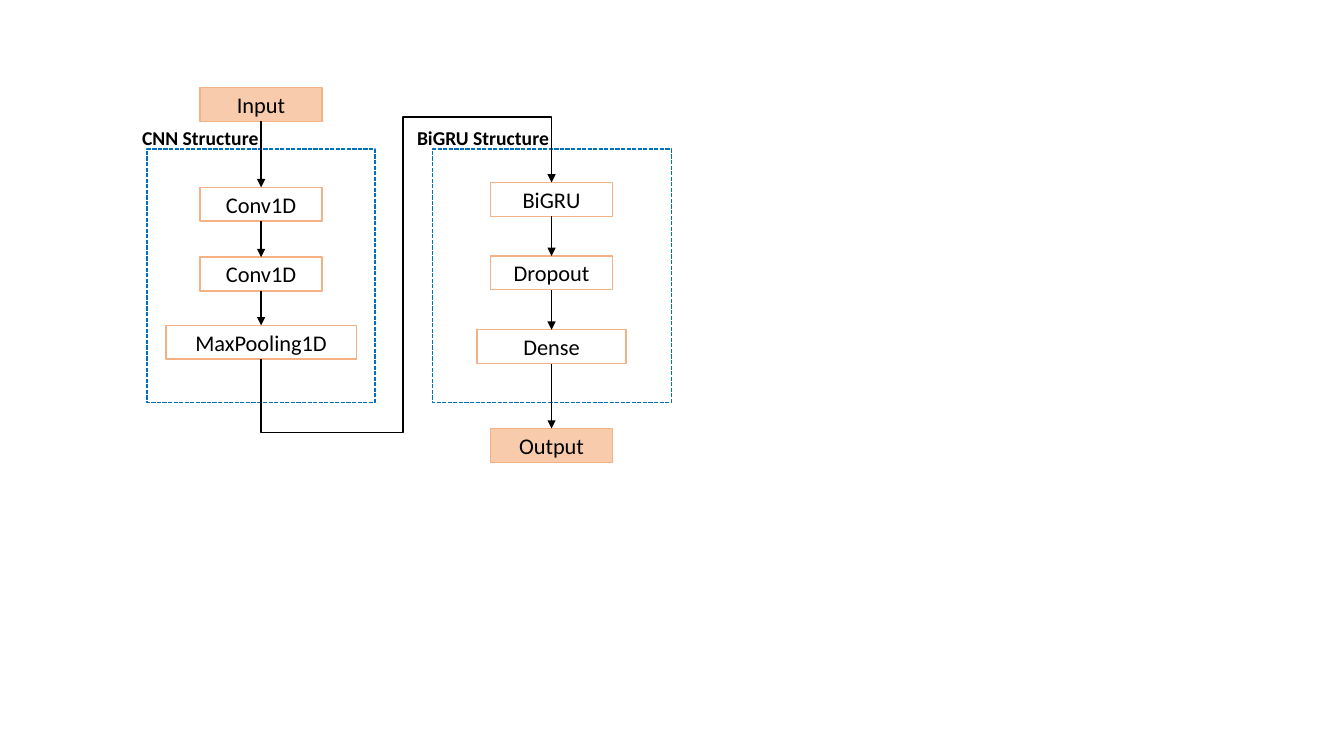
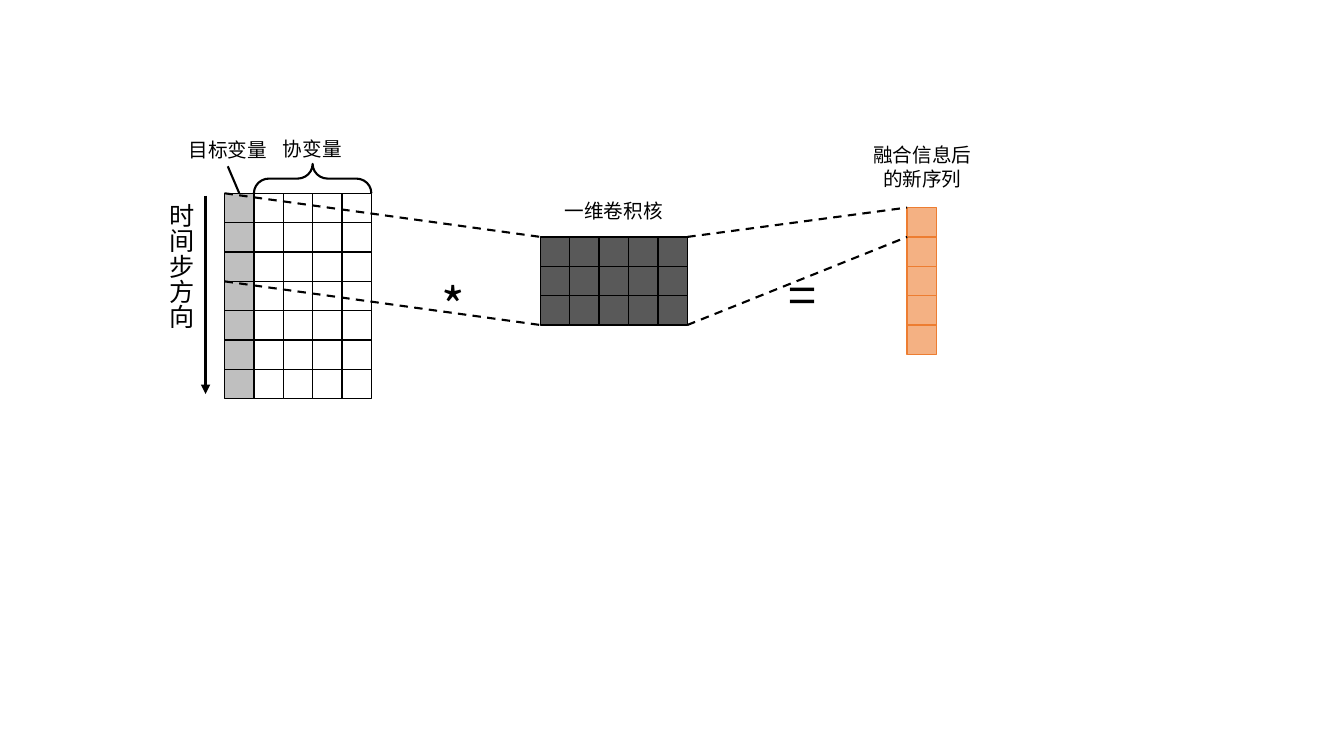
import pptx
import pptx.dml.color
import pptx.enum.dml
import pptx.enum.shapes
import pptx.enum.text
import pptx.oxml.ns
import pptx.util

COLORS = {
    "black": "000000", "white": "FFFFFF", "frame": "0070C0",
    "peach": "F8CBAD", "orange": "F4B183", "deep orange": "ED7D31",
    "light gray": "BFBFBF", "dark gray": "595959",
}
LATIN, CHINESE = "Calibri", "Noto Sans CJK SC"
Cm = pptx.util.Cm
RGB = pptx.dml.color.RGBColor
SHAPE = pptx.enum.shapes.MSO_SHAPE
CONNECTOR = pptx.enum.shapes.MSO_CONNECTOR
DASH = pptx.enum.dml.MSO_LINE
ALIGN = pptx.enum.text.PP_ALIGN
qn = pptx.oxml.ns.qn


def add_figure(slide, kind, left, top, width, height, fill, outline, weight=1):
    """Add a flat preset shape; lengths are in cm, fill may be None."""
    figure = slide.shapes.add_shape(kind, Cm(left), Cm(top), Cm(width), Cm(height))
    figure.shadow.inherit = False
    if fill:
        figure.fill.solid()
        figure.fill.fore_color.rgb = RGB.from_string(COLORS[fill])
    else:
        figure.fill.background()
    figure.line.color.rgb = RGB.from_string(COLORS[outline])
    figure.line.width = pptx.util.Pt(weight)
    return figure


def add_line(slide, start, end, weight=1, arrow=False, kind=CONNECTOR.STRAIGHT):
    """Add a black connector between two points given in cm."""
    line = slide.shapes.add_connector(kind, *[Cm(n) for n in (*start, *end)])
    line.line.color.rgb = RGB.from_string(COLORS["black"])
    line.line.width = pptx.util.Pt(weight)
    properties = line._element.spPr
    properties.append(properties.makeelement(qn("a:effectLst"), {}))
    if arrow:
        outline = properties.find(qn("a:ln"))
        outline.append(outline.makeelement(qn("a:tailEnd"), {"type": "triangle"}))
    return line


presentation = pptx.Presentation()
presentation.slide_width, presentation.slide_height = Cm(33.87), Cm(19.05)
blank = presentation.slide_layouts[6]
network = presentation.slides.add_slide(blank)
convolution = presentation.slides.add_slide(blank)

# Network structure: two columns of layers inside dashed frames
for left, width in ((3.71, 5.74), (10.9, 6.02)):
    frame = add_figure(network, SHAPE.RECTANGLE, left, 3.76, width, 6.38, None, "frame")
    frame.line.dash_style = DASH.SQUARE_DOT

cnn_center, gru_center = 6.58, 13.9
layer_height, layer_width = 0.85, 3.08
columns = (
    (cnn_center, (("Input", 2.21, layer_width, "peach"),
                  ("Conv1D", 4.72, layer_width, None),
                  ("Conv1D", 6.48, layer_width, None),
                  ("MaxPooling1D", 8.2, 4.8, None))),
    (gru_center, (("BiGRU", 4.6, layer_width, None),
                  ("Dropout", 6.45, layer_width, None),
                  ("Dense", 8.31, 3.76, None),
                  ("Output", 10.8, layer_width, "peach"))),
)
texts = []  # text frame, wording, size, font, bold, alignment
for center, layers in columns:
    previous = None
    for name, top, width, fill in layers:
        layer = add_figure(network, SHAPE.RECTANGLE, center - width / 2, top,
                           width, layer_height, fill, "orange")
        layer.text_frame.margin_top = layer.text_frame.margin_bottom = 0
        texts.append((layer.text_frame, name, 16, LATIN, False, ALIGN.CENTER))
        if previous:
            arrow = add_line(network, (center, top), (center, top), arrow=True)
            arrow.begin_connect(previous, 2)
            arrow.end_connect(layer, 0)
        previous = layer

# Elbow from the last CNN layer down, up between the frames and into BiGRU
start_y, end_y = 9.05, 4.6
floor_y, lane_x, ceiling_y = 10.9, 10.16, 2.95
drop, span = start_y - end_y, gru_center - cnn_center
middle_x, middle_y = (cnn_center + gru_center) / 2, (start_y + end_y) / 2
elbow = add_line(network, (middle_x + drop / 2, middle_y + span / 2),
                 (middle_x - drop / 2, middle_y - span / 2),
                 arrow=True, kind=CONNECTOR.ELBOW)
elbow._element.spPr.find(qn("a:xfrm")).set("rot", "5400000")
geometry = elbow._element.spPr.find(qn("a:prstGeom"))
geometry.set("prst", "bentConnector5")
bends = ((start_y - floor_y) / drop, (lane_x - cnn_center) / span,
         (start_y - ceiling_y) / drop)
for number, bend in enumerate(bends, 1):
    guide = geometry.makeelement(
        qn("a:gd"), {"name": f"adj{number}", "fmla": f"val {round(bend * 100000)}"})
    geometry.find(qn("a:avLst")).append(guide)

# Convolution: matrix * kernel = fused sequence
cell = 0.74
matrix_x, matrix_y = 5.66, 4.87
kernel_x, kernel_y = 13.62, 5.97
sequence_x, sequence_y = 22.86, 5.23
grids = (
    (kernel_x, kernel_y, 3, ["dark gray"] * 5, "black"),
    (matrix_x, matrix_y, 7, ["light gray"] + ["white"] * 4, "black"),
    (sequence_x, sequence_y, 5, ["orange"], "deep orange"),
)
for left, top, rows, fills, outline in grids:
    for row in range(rows):
        for column, fill in enumerate(fills):
            add_figure(convolution, SHAPE.RECTANGLE, left + column * cell,
                       top + row * cell, cell, cell, fill, outline)

kernel_right, kernel_bottom = kernel_x + 5 * cell, kernel_y + 3 * cell
projections = (
    ((matrix_x, matrix_y), (kernel_x, kernel_y)),
    ((matrix_x, matrix_y + 3 * cell), (kernel_x, kernel_bottom)),
    ((kernel_right, kernel_y), (sequence_x, sequence_y)),
    ((kernel_right, kernel_bottom), (sequence_x, sequence_y + cell)),
)
for start, end in projections:
    add_line(convolution, start, end, 1.5).line.dash_style = DASH.DASH

add_line(convolution, (5.18, 4.93), (5.18, 9.93), 2.25, arrow=True)
add_line(convolution, (5.74, 4.19), (matrix_x + cell / 2, matrix_y), 1.5)
brace_length = 4 * cell
brace = add_figure(convolution, SHAPE.RIGHT_BRACE, matrix_x + 3 * cell - cell / 2,
                   matrix_y - cell / 2 - brace_length / 2, cell, brace_length,
                   None, "black", 1.5)
brace.rotation = 270
brace.adjustments[0], brace.adjustments[1] = 0.51, 0.5

# Free-standing captions
captions = (
    (network, "CNN Structure", 3.33, 3.05, 4.14, 0.86, 14, LATIN, True, ALIGN.LEFT),
    (network, "BiGRU Structure", 10.26, 3.05, 4.14, 0.86, 14, LATIN, True, ALIGN.LEFT),
    (convolution, "时间步方向", 3.81, 4.88, 1.27, 4.83, 18, CHINESE, False, ALIGN.CENTER),
    (convolution, "目标变量", 4.5, 3.35, 2.49, 0.86, 14, CHINESE, False, ALIGN.CENTER),
    (convolution, "协变量", 6.63, 3.33, 2.49, 0.86, 14, CHINESE, False, ALIGN.CENTER),
    (convolution, "一维卷积核", 13.89, 4.9, 3.15, 0.86, 14, CHINESE, False, ALIGN.CENTER),
    (convolution, "融合信息后的新序列", 21.67, 3.48, 3.15, 1.45, 14, CHINESE, False, ALIGN.CENTER),
    (convolution, "*", 9.86, 6.81, 3.15, 1.8, 36, CHINESE, False, ALIGN.CENTER),
    (convolution, "=", 18.64, 6.53, 3.15, 1.8, 36, CHINESE, False, ALIGN.CENTER),
)
for slide, wording, left, top, width, height, *style in captions:
    caption = slide.shapes.add_textbox(Cm(left), Cm(top), Cm(width), Cm(height))
    caption.text_frame.word_wrap = True
    caption.text_frame.auto_size = pptx.enum.text.MSO_AUTO_SIZE.SHAPE_TO_FIT_TEXT
    if height > width:
        caption.text_frame._txBody.bodyPr.set("vert", "eaVert")
    texts.append((caption.text_frame, wording, *style))

for text_frame, wording, size, font_name, bold, alignment in texts:
    text_frame.text = wording
    paragraph = text_frame.paragraphs[0]
    paragraph.alignment = alignment
    font = paragraph.font
    font.name, font.size, font.bold = font_name, pptx.util.Pt(size), bold
    font.color.rgb = RGB.from_string(COLORS["black"])
    # East Asian letters take their typeface from a:ea
    run_properties = paragraph.runs[0]._r.get_or_add_rPr()
    run_properties.append(run_properties.makeelement(qn("a:ea"), {"typeface": font_name}))

presentation.save("out.pptx")
